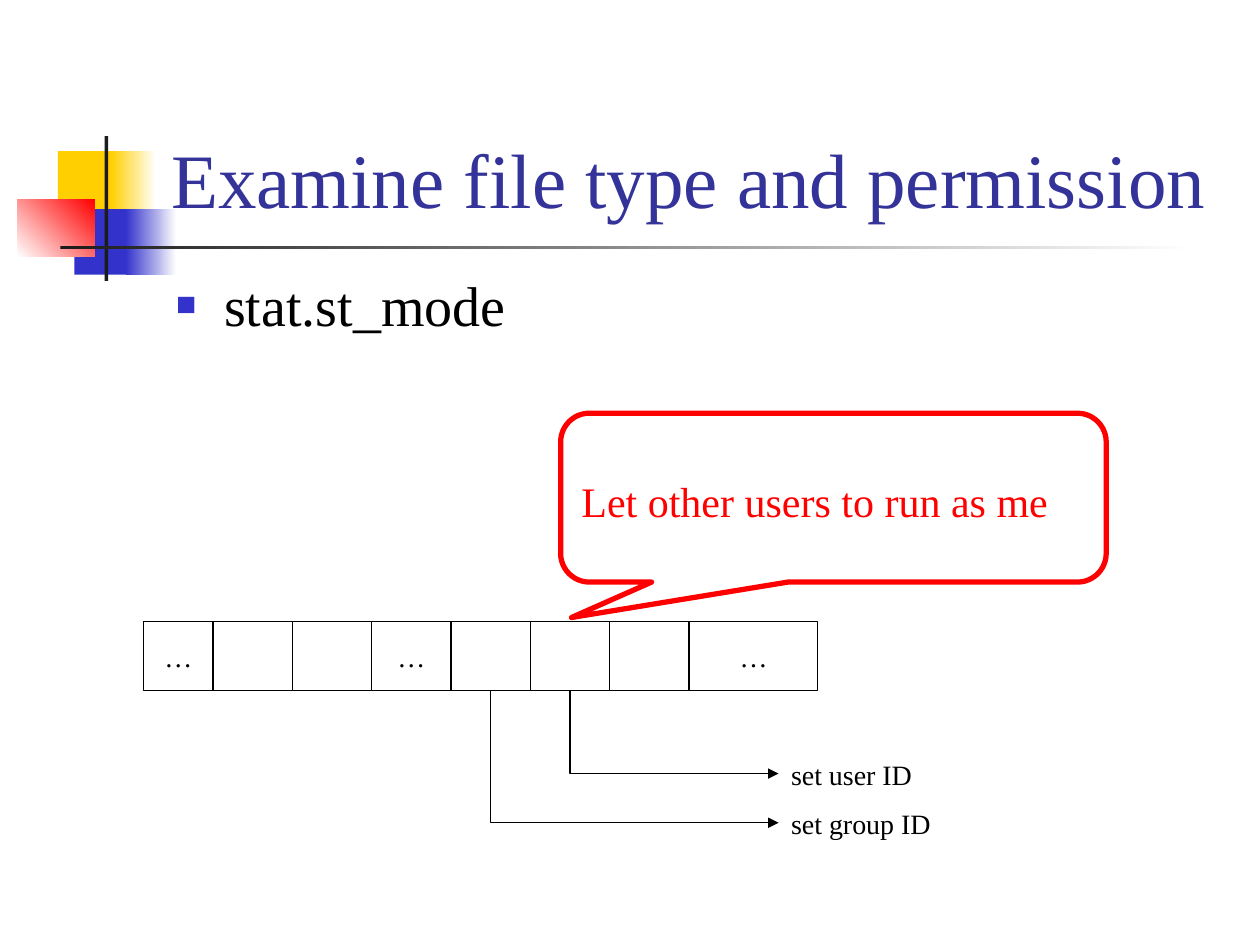
import pptx
import pptx.dml.color
import pptx.enum.shapes
import pptx.enum.text
import pptx.oxml
import pptx.oxml.ns
import pptx.util
from lxml import etree

Inches = pptx.util.Inches
Pt = pptx.util.Pt
RGB = pptx.dml.color.RGBColor.from_string
SHAPE = pptx.enum.shapes.MSO_SHAPE
ANCHOR = pptx.enum.text.MSO_ANCHOR
ALIGN = pptx.enum.text.PP_ALIGN
qn = pptx.oxml.ns.qn

THEME = {
    "font": "Times New Roman",
    "white": "FFFFFF", "black": "000000", "yellow": "FFCF01", "blue": "3333CC",
    "red": "FF0000", "bar": "1C1C1C", "title": "333399",
    "title_pt": 44, "body_pt": 32, "callout_pt": 24, "label_pt": 16,
}

prs = pptx.Presentation()
prs.slide_width, prs.slide_height = Inches(10), Inches(7.5)
s = prs.slides.add_slide(prs.slide_layouts[6])


def add_box(kind, box, line=None, width=0.75):
    sp = s.shapes.add_shape(kind, *map(Inches, box))
    sp.shadow.inherit = False
    sp.fill.background()
    if line:
        sp.line.color.rgb = RGB(THEME[line])
        sp.line.width = Pt(width)
    else:
        sp.line.fill.background()
    return sp


def write(sp, text, size, color, wrap=True, anchor=ANCHOR.TOP, align=ALIGN.LEFT):
    tf = sp.text_frame
    tf.text = text
    tf.word_wrap = wrap
    tf.vertical_anchor = anchor
    p = tf.paragraphs[0]
    p.alignment = align
    font = p.runs[0].font
    font.name = THEME["font"]
    font.size = Pt(THEME[size])
    font.color.rgb = RGB(THEME[color])
    return p


decorations = [
    ((0.46, 1.2, 0.48, 0.52), ["yellow"], 0),
    ((0.88, 1.2, 0.36, 0.52), ["yellow", "white"], 0),
    ((0.59, 1.66, 0.46, 0.52), ["blue"], 0),
    ((1, 1.66, 0.4, 0.52), ["blue", "white"], 0),
    ((0.14, 1.58, 0.61, 0.46), ["white", "red"], 45),
    ((0.83, 1.08, 0.03, 1.15), ["bar"], 0),
    ((0.48, 1.95, 9, 0.03), ["bar", "white"], 0),
]
for box, colors, angle in decorations:
    sp = add_box(SHAPE.RECTANGLE, box)
    if len(colors) == 1:
        sp.fill.solid()
        sp.fill.fore_color.rgb = RGB(THEME[colors[0]])
    else:
        sp.fill.gradient()
        sp.fill.gradient_angle = angle
        for stop, color, position in zip(sp.fill.gradient_stops, colors, (0, 1)):
            stop.color.rgb = RGB(THEME[color])
            stop.position = position

title = s.shapes.add_textbox(Inches(1.26), Inches(0.23), Inches(8.52), Inches(1.6))
write(title, "Examine file type and permission", "title_pt", "title", anchor=ANCHOR.BOTTOM)

body = s.shapes.add_textbox(Inches(1.3), Inches(2.1), Inches(8.5), Inches(0.87))
p = write(body, "stat.st_mode", "body_pt", "black")
p.space_before = Pt(8)
pPr = p._p.get_or_add_pPr()
pPr.set("marL", str(Inches(0.38)))
pPr.set("indent", str(-Inches(0.38)))
bullet_color = etree.SubElement(pPr, qn("a:buClr"))
etree.SubElement(bullet_color, qn("a:srgbClr"), val=THEME["blue"])
etree.SubElement(pPr, qn("a:buSzPct"), val="60000")
etree.SubElement(pPr, qn("a:buFont"), typeface=THEME["font"])
etree.SubElement(pPr, qn("a:buChar"), char="■")

row_top, row_height = 4.93, 0.55
left = 1.14
centers = []
cells = [(0.55, "…"), (0.63, ""), (0.63, ""), (0.63, "…"),
         (0.63, ""), (0.63, ""), (0.63, ""), (1.02, "…")]
for width, text in cells:
    sp = add_box(SHAPE.RECTANGLE, (left, row_top, width, row_height), "black")
    if text:
        write(sp, text, "label_pt", "black", False, ANCHOR.MIDDLE, ALIGN.CENTER)
    centers.append(left + width / 2)
    left += width

row_bottom = row_top + row_height
label_left = 6.18
for cell, end_y, text, width in [(5, 6.14, "set user ID", 1.16),
                                 (4, 6.53, "set group ID", 1.31)]:
    label = s.shapes.add_textbox(Inches(label_left), Inches(end_y - 0.18),
                                 Inches(width), Inches(0.37))
    write(label, text, "label_pt", "black", wrap=False)

    drop, run = end_y - row_bottom, label_left - centers[cell]
    mid_x, mid_y = centers[cell] + run / 2, row_bottom + drop / 2
    line = s.shapes.add_connector(
        pptx.enum.shapes.MSO_CONNECTOR.ELBOW,
        Inches(mid_x + drop / 2), Inches(mid_y - run / 2),
        Inches(mid_x - drop / 2), Inches(mid_y + run / 2))
    line.line.color.rgb = RGB(THEME["black"])
    line.line.width = Pt(0.75)
    spPr = line._element.spPr
    spPr.find(qn("a:xfrm")).set("rot", str(270 * 60000))
    spPr.find(qn("a:prstGeom")).set("prst", "bentConnector2")
    etree.SubElement(spPr.find(qn("a:ln")), qn("a:tailEnd"), type="triangle")
    etree.SubElement(spPr, qn("a:effectLst"))

callout = add_box(SHAPE.ROUNDED_RECTANGULAR_CALLOUT, (4.45, 3.28, 4.33, 1.34), "red", 3)
for i, value in enumerate((-0.48, 0.71, 0.17)):
    callout.adjustments[i] = value
write(callout, "Let other users to run as me", "callout_pt", "red")
callout.text_frame.margin_top = Inches(0.43)

prs.save("out.pptx")
